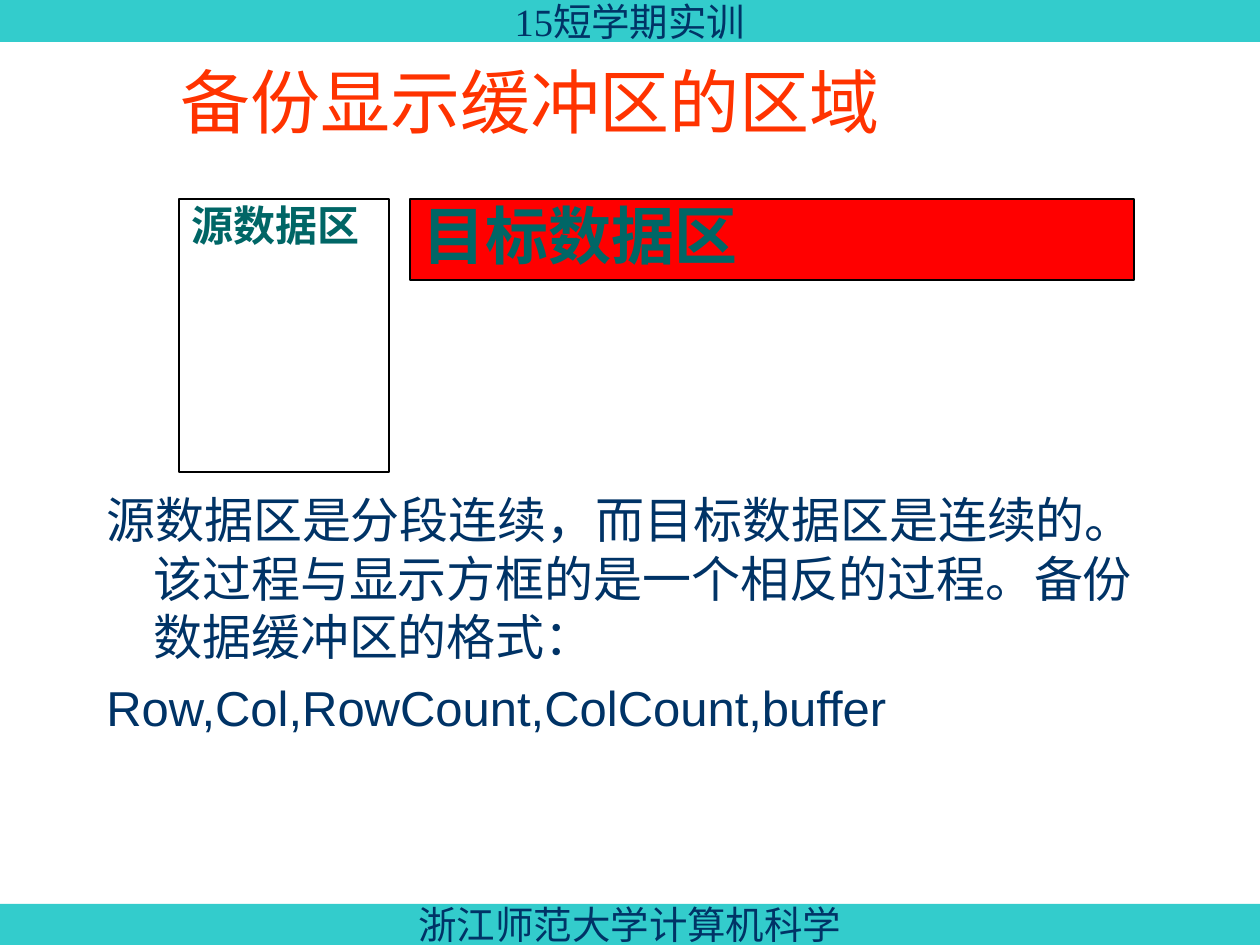
from pptx import Presentation
from pptx.dml.color import RGBColor
from pptx.enum.shapes import MSO_SHAPE as Shape
from pptx.enum.text import MSO_ANCHOR as Anchor, PP_ALIGN as Align
from pptx.util import Pt

PX = 914400 / 126
WIDE, HIGH = 1260, 945
NAVY, TEAL = "003366", "006666"


def px(n):
    return round(n * PX)


def color(code):
    return RGBColor.from_string(code)


def write(frame, lines, size, ink, font="Arial", bold=False,
          align=Align.LEFT, gap=0, lead=1.0, hang=0):
    """Fill the frame with one paragraph per line; hang indents all but the first row."""
    frame.text = "\n".join(lines)
    for par in frame.paragraphs:
        par.alignment = align
        par.space_before = Pt(gap)
        par.line_spacing = lead
        if hang:
            props = par._p.get_or_add_pPr()
            props.set("marL", str(px(hang)))
            props.set("indent", str(-px(hang)))
        for run in par.runs:
            run.font.size = Pt(size)
            run.font.name = font
            run.font.bold = bold
            run.font.color.rgb = color(ink)


def add_rect(slide, box, fill=None, line=None):
    rect = slide.shapes.add_shape(Shape.RECTANGLE, *map(px, box))
    rect.shadow.inherit = False
    if fill:
        rect.fill.solid()
        rect.fill.fore_color.rgb = color(fill)
    else:
        rect.fill.background()
    if line:
        rect.line.color.rgb = color(line)
        rect.line.width = Pt(0.75)
    else:
        rect.line.fill.background()
    return rect


def add_band(slide, box, text):
    frame = add_rect(slide, box, fill="33CCCC").text_frame
    frame.word_wrap = False
    frame.vertical_anchor = Anchor.MIDDLE
    write(frame, [text], 22, NAVY, font="Times New Roman", align=Align.CENTER)


def add_area(slide, box, text, size, gap, fill=None):
    """Draw one outlined data area with its label at the top left."""
    frame = add_rect(slide, box, fill, line="000000").text_frame
    frame.word_wrap = True
    frame.vertical_anchor = Anchor.TOP
    write(frame, [text], size, TEAL, bold=True, gap=gap, lead=0.9)


def add_areas(slide, box):
    """Place the source area on the left and the target area beside it."""
    left, top, width, height = box
    source, space = 210, 21
    start = source + space
    add_area(slide, (left, top, source, height), "源数据区", 24, 15)
    add_area(slide, (left + start, top, width - start, 81),
             "目标数据区", 36, 22.5, fill="FF0000")


def add_text(slide, box, lines, size, ink, anchor=Anchor.TOP, **style):
    frame = slide.shapes.add_textbox(*map(px, box)).text_frame
    frame.word_wrap = True
    frame.vertical_anchor = anchor
    write(frame, lines, size, ink, **style)


def main():
    deck = Presentation()
    deck.slide_width, deck.slide_height = px(WIDE), px(HIGH)
    slide = deck.slides.add_slide(deck.slide_layouts[6])
    band = 42
    add_band(slide, (0, 0, WIDE, band), "15短学期实训")
    add_band(slide, (0, 904, WIDE, band - 1), "浙江师范大学计算机科学")
    add_text(slide, (168, 53, 966, 105), ["备份显示缓冲区的区域"],
             40, "FF3300", Anchor.MIDDLE, lead=0.9)
    add_text(slide, (94, 483, 1071, 420), [
        "源数据区是分段连续，而目标数据区是连续的。"
        "该过程与显示方框的是一个相反的过程。备份数据缓冲区的格式：",
        "Row,Col,RowCount,ColCount,buffer",
    ], 28, NAVY, gap=7, hang=47)
    add_areas(slide, (179, 199, 955, 273))
    deck.save("out.pptx")


if __name__ == "__main__":
    main()
